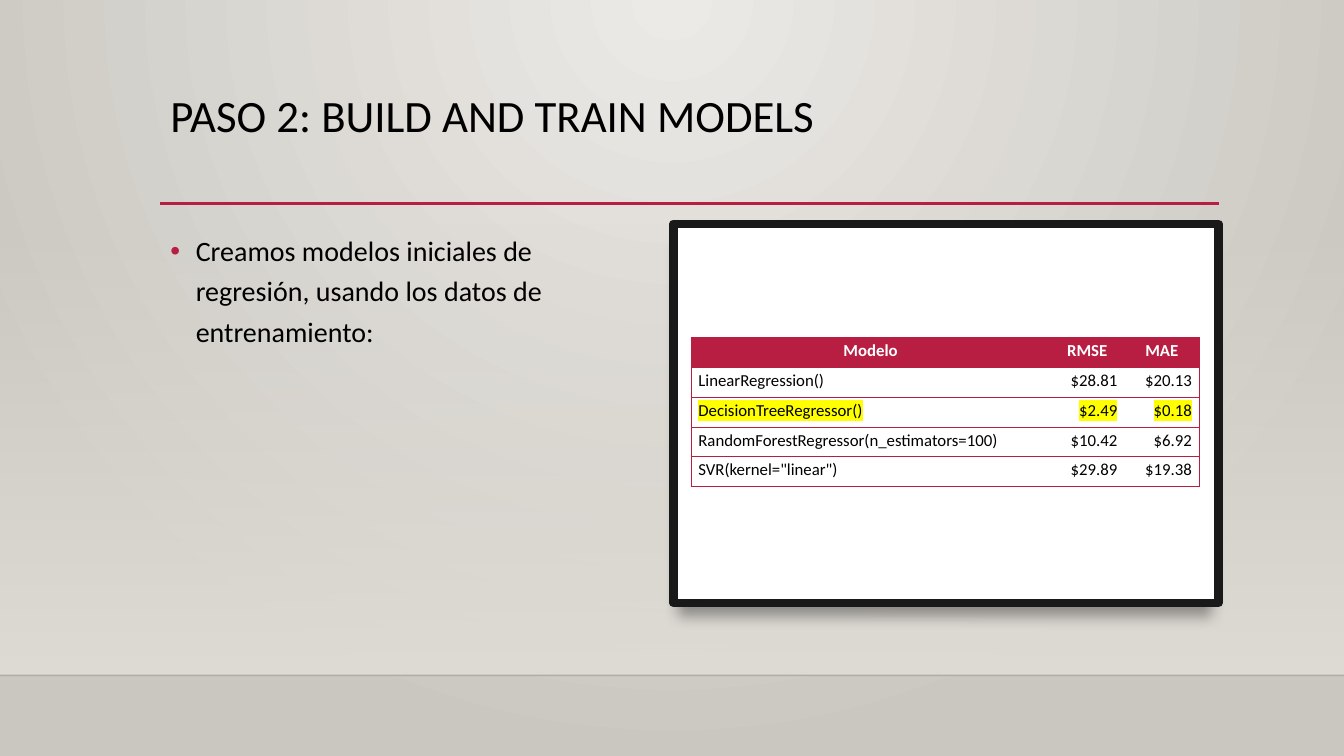
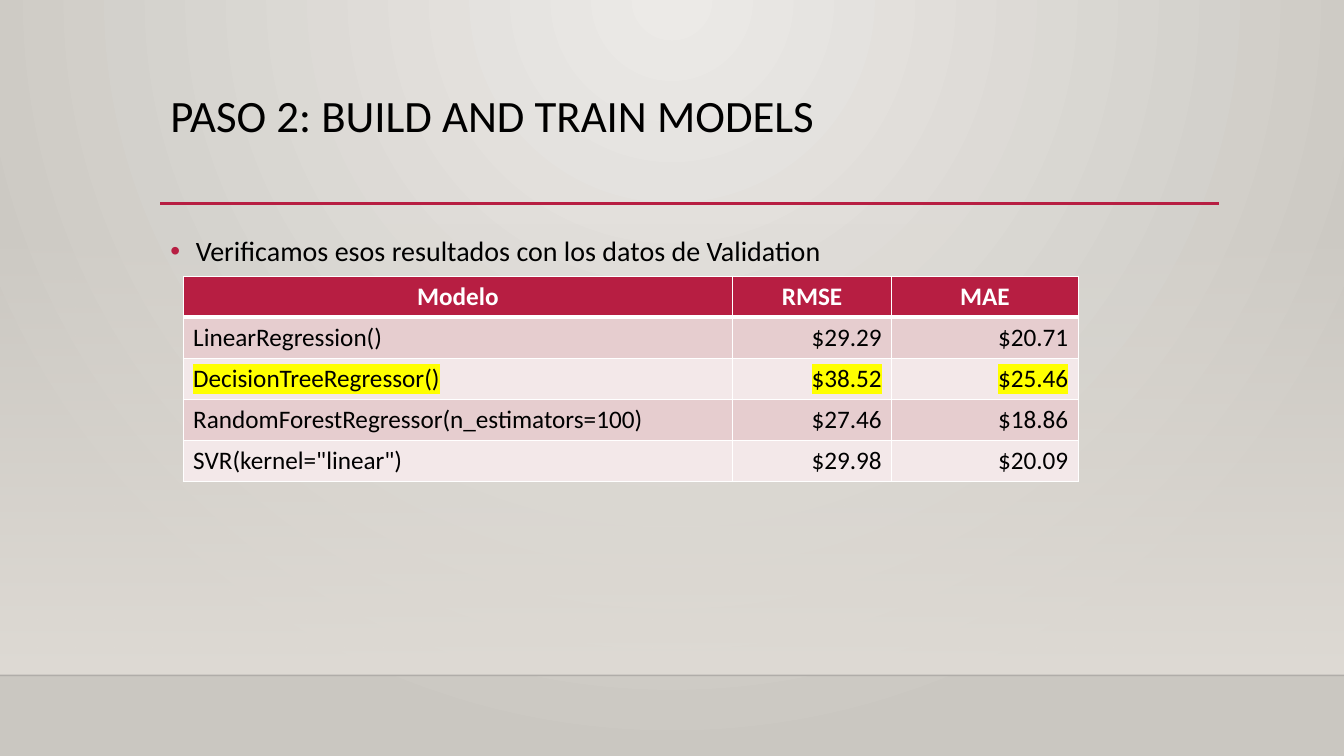
"""Build two slides that compare regression models on training and validation data."""
import dataclasses

import pptx
import pptx.dml.color
import pptx.enum.shapes
import pptx.enum.text
import pptx.oxml.ns
import pptx.util
from lxml import etree

Cm, Pt = pptx.util.Cm, pptx.util.Pt
qn = pptx.oxml.ns.qn
ALIGN = pptx.enum.text.PP_ALIGN
RECTANGLE = pptx.enum.shapes.MSO_SHAPE.RECTANGLE


@dataclasses.dataclass(frozen=True)
class Theme:
    font: str = "Calibri"
    black: str = "000000"
    ink: str = "000001"
    frame: str = "191919"
    white: str = "FFFFFF"
    accent: str = "B71E42"
    marker: str = "FFFF00"
    band: str = "DFDBD5"
    backdrop: tuple = ("ECEAE7", "CAC7C1")
    stripes: tuple = ("E6CDCF", "F3E8E9")
    title_size: int = 32
    body_size: int = 20


THEME = Theme()
WIDTH, HEIGHT = 33.87, 19.05
TITLE_BOX = (4.04, 2.24, 26.67, 2.92)
BODY_BOX = (4.04, 5.59, 26.67, 9.58)
BAND_BOX = (0, 5.61, WIDTH, 11.41)
FRAME_BOX = (16.97, 5.59, 13.74, 9.6)
PANEL_BOX = (16.97, 5.64, 13.74, 9.55)

TITLE = "PASO 2: BUILD AND TRAIN MODELS"
HEADER = ("Modelo", "RMSE", "MAE")
MODELS = ("LinearRegression()", "DecisionTreeRegressor()",
          "RandomForestRegressor(n_estimators=100)", 'SVR(kernel="linear")')
MARKED_MODEL = "DecisionTreeRegressor()"

PAGES = [
    {
        "text": "Creamos modelos iniciales de regresión, usando los datos de entrenamiento:",
        "body_width": 11.56,
        "framed": True,
        "scores": [("$28.81", "$20.13"), ("$2.49", "$0.18"),
                   ("$10.42", "$6.92"), ("$29.89", "$19.38")],
        "table": {"at": (17.42, 8.51), "columns": (9.04, 1.88, 1.88), "row": 0.75,
                  "size": 12, "margins": (0.18, 0.08), "striped": False},
    },
    {
        "text": "Verificamos esos resultados con los datos de Validation",
        "body_width": 26.67,
        "framed": False,
        "scores": [("$29.29", "$20.71"), ("$38.52", "$25.46"),
                   ("$27.46", "$18.86"), ("$29.98", "$20.09")],
        "table": {"at": (4.62, 6.96), "columns": (13.84, 4.01, 4.7), "row": 1.03,
                  "size": 18, "margins": (0.25, 0.13), "striped": True},
    },
]


def rgb(code):
    return pptx.dml.color.RGBColor.from_string(code)


def add_node(parent, tag, **attributes):
    return etree.SubElement(parent, qn(tag), {key: str(value) for key, value in attributes.items()})


def add_colour(parent, code, opacity=100):
    colour = add_node(parent, "a:srgbClr", val=code)
    if opacity < 100:
        add_node(colour, "a:alpha", val=opacity * 1000)


def place(shape, box):
    shape.left, shape.top, shape.width, shape.height = map(Cm, box)


def set_font(para, size, colour, bold=False):
    para.font.name, para.font.size, para.font.bold = THEME.font, Pt(size), bold
    para.font.color.rgb = rgb(colour)


def set_gradient(fill, colours, angle=0):
    fill.gradient()
    fill.gradient_angle = angle
    for stop, colour, position in zip(fill.gradient_stops, colours, (0, 1)):
        stop.color.rgb = rgb(colour)
        stop.position = position


def add_rectangle(shapes, box):
    shape = shapes.add_shape(RECTANGLE, *map(Cm, box))
    shape.shadow.inherit = False
    shape.line.fill.background()
    return shape


def add_rule(shapes, left, right, top, colour, weight):
    rule = shapes.add_connector(pptx.enum.shapes.MSO_CONNECTOR.STRAIGHT,
                                Cm(left), Cm(top), Cm(right), Cm(top))
    rule.line.color.rgb = rgb(colour)
    rule.line.width = Pt(weight)
    add_node(rule.element.spPr, "a:effectLst")
    return rule


def style_master(deck, page):
    master = deck.slide_master
    set_gradient(master.background.fill, THEME.backdrop)
    gradient = next(master.element.iter(qn("a:gradFill")))
    gradient.remove(gradient.find(qn("a:lin")))
    circle = add_node(gradient, "a:path", path="circle")
    add_node(circle, "a:fillToRect", l=43000, t=0, r=43000, b=100000)

    band = add_rectangle(page.shapes, BAND_BOX)
    set_gradient(band.fill, (THEME.band, THEME.band), 270)
    add_node(next(band.element.iter(qn("a:srgbClr"))), "a:alpha", val=0)
    floor = add_rule(page.shapes, 0, WIDTH, BAND_BOX[1] + BAND_BOX[3], THEME.ink, 1)
    add_node(next(floor.element.iter(qn("a:srgbClr"))), "a:alpha", val=20000)
    title_rule = add_rule(page.shapes, 4.04, 30.73, 5.13, THEME.accent, 2.5)
    for shape in (band, floor, title_rule):
        master.shapes.element.append(shape.element)


def write_placeholder(shape, text, size):
    frame = shape.text_frame
    frame.text = text
    frame.auto_size = pptx.enum.text.MSO_AUTO_SIZE.NONE
    frame.vertical_anchor = pptx.enum.text.MSO_ANCHOR.TOP
    para = frame.paragraphs[0]
    para.alignment = ALIGN.LEFT
    para.line_spacing = 0.9
    set_font(para, size, THEME.black)
    return para


def add_bullet(para):
    para.line_spacing = 1.2
    para.space_before = Pt(10)
    properties = para._p.get_or_add_pPr()
    properties.set("marL", str(Cm(0.64)))
    properties.set("indent", str(-Cm(0.64)))
    default_font = properties.find(qn("a:defRPr"))
    add_colour(add_node(properties, "a:buClr"), THEME.accent)
    add_node(properties, "a:buFont", typeface="Arial")
    add_node(properties, "a:buChar", char="•")
    properties.append(default_font)


def add_frame(page):
    group = page.shapes.add_group_shape()
    frame = add_rectangle(group.shapes, FRAME_BOX)
    set_gradient(frame.fill, (THEME.ink, THEME.frame))
    effects = frame.element.spPr.find(qn("a:effectLst"))
    shadow = add_node(effects, "a:outerShdw", blurRad=Pt(10), dist=Pt(15), dir=79 * 60000,
                      sx=98000, sy=98000, algn="tl", rotWithShape=0)
    add_colour(shadow, THEME.black, 34)
    panel = add_rectangle(group.shapes, PANEL_BOX)
    panel.fill.solid()
    panel.fill.fore_color.rgb = rgb(THEME.white)
    panel.line.color.rgb = rgb(THEME.frame)
    panel.line.width = Pt(6)


def set_borders(cell, borders):
    properties = cell._tc.get_or_add_tcPr()
    for side, (colour, weight) in zip("LRTB", borders):
        line = add_node(properties, f"a:ln{side}", w=Pt(weight))
        if colour:
            add_colour(add_node(line, "a:solidFill"), colour)
        else:
            add_node(line, "a:noFill")


def cell_borders(row, column, striped):
    if striped:
        thin, thick = (THEME.white, 1), (THEME.white, 3)
        return thin, thin, thick if row == 1 else thin, thick if row == 0 else thin
    edge, none = (THEME.accent, 0.75), (None, 0)
    return (edge if column == 0 else none,
            edge if column == len(HEADER) - 1 else none, edge, edge)


def format_cell(cell, text, row, column, design, marked):
    is_header = row == 0
    cell.margin_left = cell.margin_right = Cm(design["margins"][0])
    cell.margin_top = cell.margin_bottom = Cm(design["margins"][1])
    set_borders(cell, cell_borders(row, column, design["striped"]))
    if is_header or design["striped"]:
        cell.fill.solid()
        cell.fill.fore_color.rgb = rgb(THEME.accent if is_header else THEME.stripes[(row - 1) % 2])
    else:
        cell.fill.background()
    para = cell.text_frame.paragraphs[0]
    span = para.add_run()
    span.text = text
    para.alignment = ALIGN.CENTER if is_header else ALIGN.RIGHT if column else ALIGN.LEFT
    set_font(para, design["size"], THEME.white if is_header else THEME.black, is_header)
    if marked:
        add_colour(add_node(span._r.get_or_add_rPr(), "a:highlight"), THEME.marker)


def add_score_table(page, scores, design):
    rows = [HEADER] + [(model, *values) for model, values in zip(MODELS, scores)]
    size = (sum(design["columns"]), design["row"] * len(rows))
    table = page.shapes.add_table(len(rows), len(HEADER), *map(Cm, design["at"] + size)).table
    for column, width in zip(table.columns, design["columns"]):
        column.width = Cm(width)
    for row, values in enumerate(rows):
        table.rows[row].height = Cm(design["row"])
        for column, text in enumerate(values):
            format_cell(table.cell(row, column), text, row, column, design,
                        values[0] == MARKED_MODEL)


def add_page(deck, layout, content):
    page = deck.slides.add_slide(layout)
    title, body = page.placeholders
    write_placeholder(title, TITLE, THEME.title_size)
    place(body, (*BODY_BOX[:2], content["body_width"], BODY_BOX[3]))
    add_bullet(write_placeholder(body, content["text"], THEME.body_size))
    if content["framed"]:
        add_frame(page)
    add_score_table(page, content["scores"], content["table"])


def main():
    deck = pptx.Presentation()
    deck.slide_width, deck.slide_height = Cm(WIDTH), Cm(HEIGHT)
    layout = deck.slide_layouts.get_by_name("Title and Content")
    for placeholder, box in zip(layout.placeholders, (TITLE_BOX, BODY_BOX)):
        place(placeholder, box)
    for content in PAGES:
        add_page(deck, layout, content)
    style_master(deck, deck.slides[0])
    deck.save("out.pptx")


if __name__ == "__main__":
    main()
